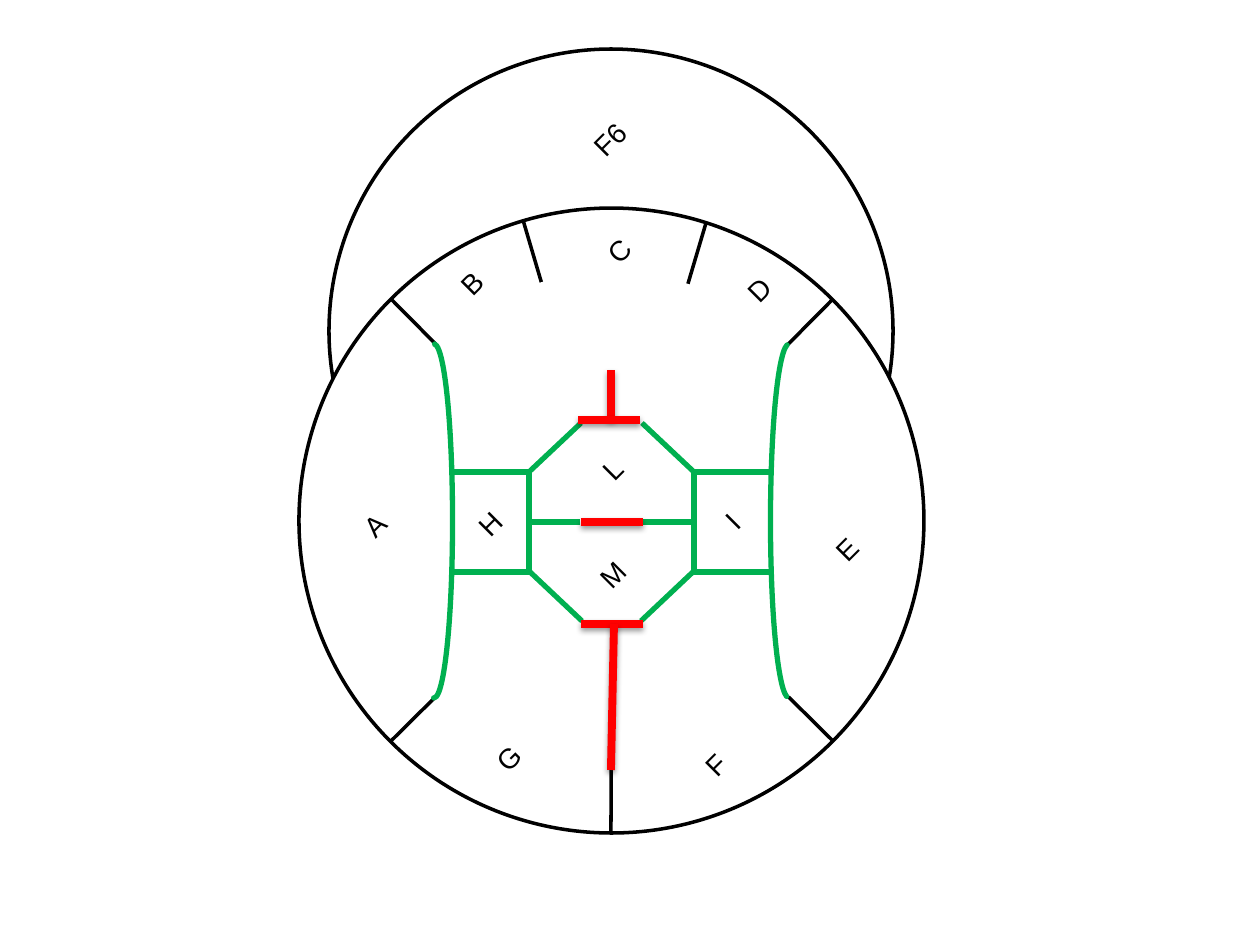
import pptx
import pptx.util
import pptx.dml.color
import pptx.enum.shapes
import pptx.enum.text
import pptx.oxml
import pptx.oxml.ns

RGBColor = pptx.dml.color.RGBColor
MSO_SHAPE = pptx.enum.shapes.MSO_SHAPE
BLACK = RGBColor(0x00, 0x00, 0x00)
WHITE = RGBColor(0xFF, 0xFF, 0xFF)
GREEN = RGBColor(0x00, 0xB0, 0x50)
RED = RGBColor(0xFF, 0x00, 0x00)
PALE = RGBColor(0xBB, 0xE0, 0xE3)

TILT = 315
NS = pptx.oxml.ns.nsdecls("a")
NO_SHADOW = f"<a:effectLst {NS}/>"
SOFT_SHADOW = (
    f'<a:effectLst {NS}><a:outerShdw blurRad="40000" dist="20000" dir="5400000" '
    'rotWithShape="0"><a:srgbClr val="000000"><a:alpha val="38000"/></a:srgbClr>'
    "</a:outerShdw></a:effectLst>"
)


def px(n):
    return pptx.util.Emu(round(n * 914400 / 126))


def add_line(shapes, box, start, end, color, width, effect=NO_SHADOW):
    x, y = box
    c = shapes.add_connector(
        pptx.enum.shapes.MSO_CONNECTOR.STRAIGHT,
        px(x + start[0]), px(y + start[1]), px(x + end[0]), px(y + end[1]))
    c.line.color.rgb = color
    c.line.width = pptx.util.Pt(width)
    c._element.spPr.append(pptx.oxml.parse_xml(effect))


def add_outline(shapes, kind, rect, rotation, fill, color=None, width=2):
    sp = shapes.add_shape(kind, *map(px, rect))
    sp.rotation = rotation
    sp.shadow.inherit = False
    sp.fill.solid()
    sp.fill.fore_color.rgb = fill
    if color is None:
        sp.line.fill.background()
    else:
        sp.line.color.rgb = color
        sp.line.width = pptx.util.Pt(width)
    return sp


def add_label(shapes, box, text, cx, cy, width, height=47):
    sp = shapes.add_textbox(px(box[0] + cx - width / 2), px(box[1] + cy - height / 2),
                            px(width), px(height))
    sp.rotation = TILT
    tf = sp.text_frame
    tf.word_wrap = False
    tf.auto_size = pptx.enum.text.MSO_AUTO_SIZE.SHAPE_TO_FIT_TEXT
    r = tf.paragraphs[0].add_run()
    r.text = text
    r.font.color.rgb = BLACK
    for name, value in {"name": "Arial", "size": pptx.util.Pt(16)}.items():
        setattr(r.font, name, value)


def add_dial(shapes, box):
    """Hood circle, outer ring and the spokes that divide it."""
    x, y = box

    def circle(left, top, size, color=None):
        add_outline(shapes, MSO_SHAPE.OVAL, (x + left, y + top, size, size),
                    TILT, WHITE, color)

    circle(30, 0, 564, BLACK)
    circle(0, 159, 625, BLACK)
    hub = (313, 473)
    for start, end in [
        (hub, (92, 250)), (hub, (224, 171)), ((318, 474), (407, 174)),
        (hub, (534, 250)), (hub, (92, 692)), (hub, (312, 784)), (hub, (534, 692)),
    ]:
        add_line(shapes, box, start, end, BLACK, 2)
    # The inner disc leaves only the outer ends of the spokes showing
    circle(64, 223, 498)


def add_core(shapes, box):
    """Green walls, the same on both sides, and red bars in the middle."""
    x, y = box
    width, height, depth = 355, 354, 37

    # Curved side walls
    for cx, angles in [(0, (108.06, 0.07)), (width, (0.47, 107.62))]:
        rect = (x + cx - height / 2, y + (height - depth) / 2, height, depth)
        sp = add_outline(shapes, MSO_SHAPE.BLOCK_ARC, rect, 90, PALE, GREEN, 3)
        for i, value in enumerate((*angles, 0)):
            sp.adjustments[i] = value

    # Straight walls of the left half, mirrored to the right
    for start, end in [
        ((18, 128), (98, 128)), ((18, 228), (98, 228)), ((95, 228), (95, 128)),
        ((95, 128), (147, 79)), ((95, 178), (146, 178)), ((95, 227), (148, 277)),
    ]:
        add_line(shapes, box, start, end, GREEN, 3)
        add_line(shapes, box, (width - start[0], start[1]),
                 (width - end[0], end[1]), GREEN, 3)

    # Red bars and posts
    for start, end in [
        ((209, 280), (147, 280)), ((177, 426), (180, 280)), ((209, 178), (147, 178)),
        ((177, 76), (177, 26)), ((206, 76), (144, 76)),
    ]:
        add_line(shapes, box, start, end, RED, 4.5, SOFT_SHADOW)


def add_labels(shapes, box):
    for label in [
        ("A", 76, 476, 44), ("B", 173, 234, 44), ("C", 320, 202, 45),
        ("D", 460, 241, 45), ("E", 548, 500, 44), ("F", 417, 715, 43),
        ("G", 210, 709, 48), ("F6", 311, 90, 58), ("H", 191, 475, 45),
        ("I", 434, 472, 34), ("L", 314, 420, 42), ("M", 314, 525, 49),
    ]:
        add_label(shapes, box, *label)


prs = pptx.Presentation()
prs.slide_width, prs.slide_height = px(1260), px(945)
s = prs.slides.add_slide(prs.slide_layouts[6])
plan = s.shapes.add_group_shape().shapes
add_dial(plan, (299, 49))
add_core(plan, (434, 344))
add_labels(plan, (299, 49))
prs.save("out.pptx")
